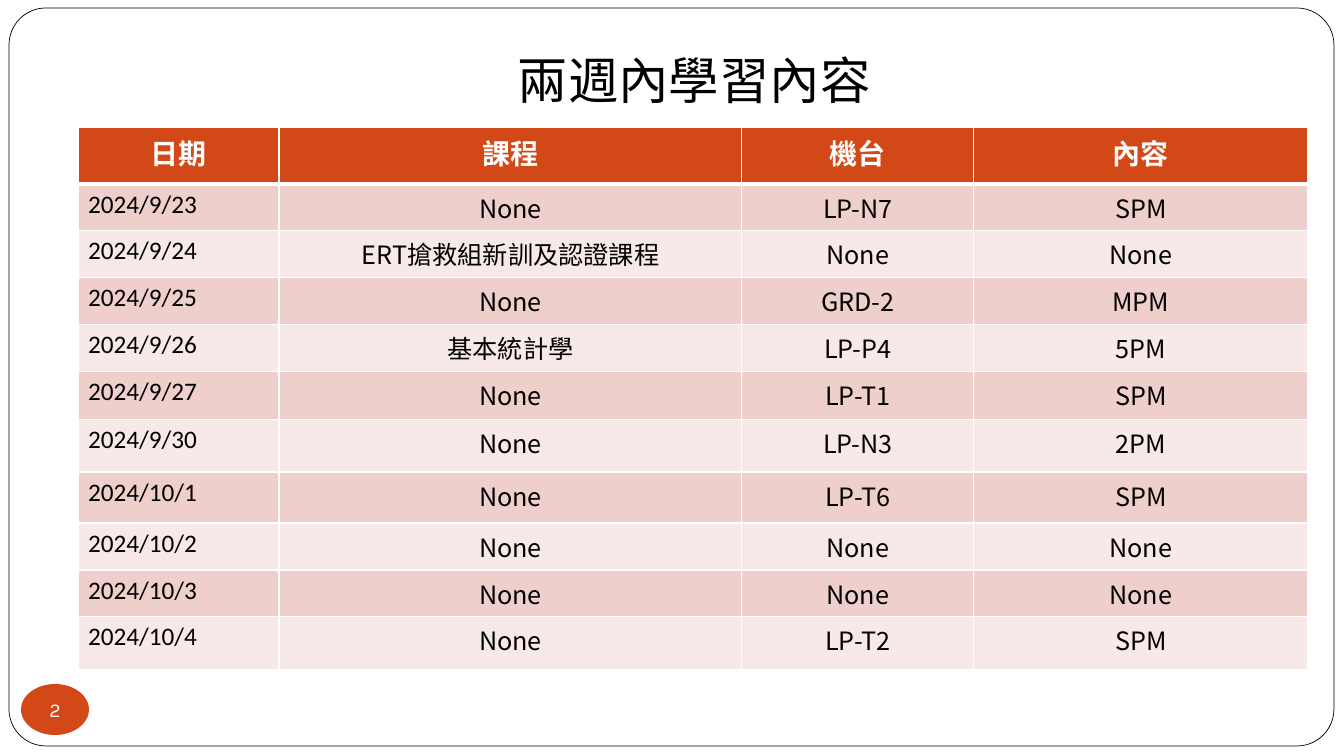
import pptx
import pptx.util
import pptx.dml.color
import pptx.enum.shapes
import pptx.enum.text
import pptx.oxml
import pptx.oxml.ns

PX = 914400 / 100.8
CJK = "Noto Sans CJK SC"
ACCENT = "D34817"
BANDS = ["EFCFCC", "F7E9E8"]
CENTER = pptx.enum.text.PP_ALIGN.CENTER
MIDDLE = pptx.enum.text.MSO_ANCHOR.MIDDLE
SHAPES = pptx.enum.shapes.MSO_SHAPE


def px(*values):
    return [pptx.util.Emu(round(v * PX)) for v in values]


def style(target, color, size=None, font=None, bold=False):
    rgb = pptx.dml.color.RGBColor.from_string(color)
    if size is None:
        target.solid()
        target.fore_color.rgb = rgb
        return
    for r in target.runs:
        r.font.size = pptx.util.Pt(size)
        r.font.name = font
        r.font.bold = bold
        r.font.color.rgb = rgb
        ea = pptx.oxml.parse_xml(
            f'<a:ea {pptx.oxml.ns.nsdecls("a")} typeface="{CJK}"/>')
        r.font._element.append(ea)


prs = pptx.Presentation()
prs.slide_width, prs.slide_height = px(1344, 756)
slide = prs.slides.add_slide(prs.slide_layouts[5])

frame = slide.shapes.add_shape(SHAPES.ROUNDED_RECTANGLE, *px(9, 8, 1325, 738))
frame.shadow.inherit = False
frame.adjustments[0] = 0.05
style(frame.fill, "FFFFFF")
style(frame.line.fill, "000000")
frame.line.width = pptx.util.Pt(0.5)
slide.shapes._spTree.insert(2, frame._element)

title = slide.shapes.title
title.left, title.top, title.width, title.height = px(200, 44, 988, 72)
tf = title.text_frame
tf.text = "兩週內學習內容"
tf.word_wrap = True
tf.vertical_anchor = pptx.enum.text.MSO_ANCHOR.TOP
tf.paragraphs[0].alignment = CENTER
style(tf.paragraphs[0], "000000", 36, CJK)

badge = slide.shapes.add_shape(SHAPES.OVAL, *px(21, 684, 68, 51))
badge.shadow.inherit = False
style(badge.fill, ACCENT)
badge.line.fill.background()
tf = badge.text_frame
tf.text = "2"
tf.word_wrap = False
tf.vertical_anchor = MIDDLE
tf.margin_left = tf.margin_right = tf.margin_top = tf.margin_bottom = 0
tf.paragraphs[0].alignment = CENTER
style(tf.paragraphs[0], "FFFFFF", 14, "Karla")

rows = [
    ("日期", "課程", "機台", "內容"),
    ("2024/9/23", "None", "LP-N7", "SPM"),
    ("2024/9/24", "ERT搶救組新訓及認證課程", "None", "None"),
    ("2024/9/25", "None", "GRD-2", "MPM"),
    ("2024/9/26", "基本統計學", "LP-P4", "5PM"),
    ("2024/9/27", "None", "LP-T1", "SPM"),
    ("2024/9/30", "None", "LP-N3", "2PM"),
    ("2024/10/1", "None", "LP-T6", "SPM"),
    ("2024/10/2", "None", "None", "None"),
    ("2024/10/3", "None", "None", "None"),
    ("2024/10/4", "None", "LP-T2", "SPM"),
]
widths = [201, 463, 232, 334]
heights = [57, 46, 47, 46, 47, 48, 53, 51, 47, 46, 53]
table = slide.shapes.add_table(
    len(rows), len(widths), *px(78, 127, sum(widths), sum(heights))).table
for column, width in zip(table.columns, px(*widths)):
    column.width = width
for row, height in zip(table.rows, px(*heights)):
    row.height = height

for i, texts in enumerate(rows):
    header = i == 0
    for j, text in enumerate(texts):
        cell = table.cell(i, j)
        cell.text = text
        style(cell.fill, ACCENT if header else BANDS[(i - 1) % 2])
        p = cell.text_frame.paragraphs[0]
        if header or j > 0:
            p.alignment = CENTER
        font = "Calibri" if header or j == 0 else CJK
        style(p, "FFFFFF" if header else "000000", 20 if header else 18, font, header)
        tcPr = cell._tc.get_or_add_tcPr()
        for k, side in enumerate("LRTB"):
            thick = (header and side == "B") or (i == 1 and side == "T")
            tcPr.insert(k, pptx.oxml.parse_xml(
                f'<a:ln{side} {pptx.oxml.ns.nsdecls("a")} w="{38100 if thick else 12700}">'
                '<a:solidFill><a:srgbClr val="FFFFFF"/></a:solidFill>'
                f'</a:ln{side}>'))

prs.save("out.pptx")
